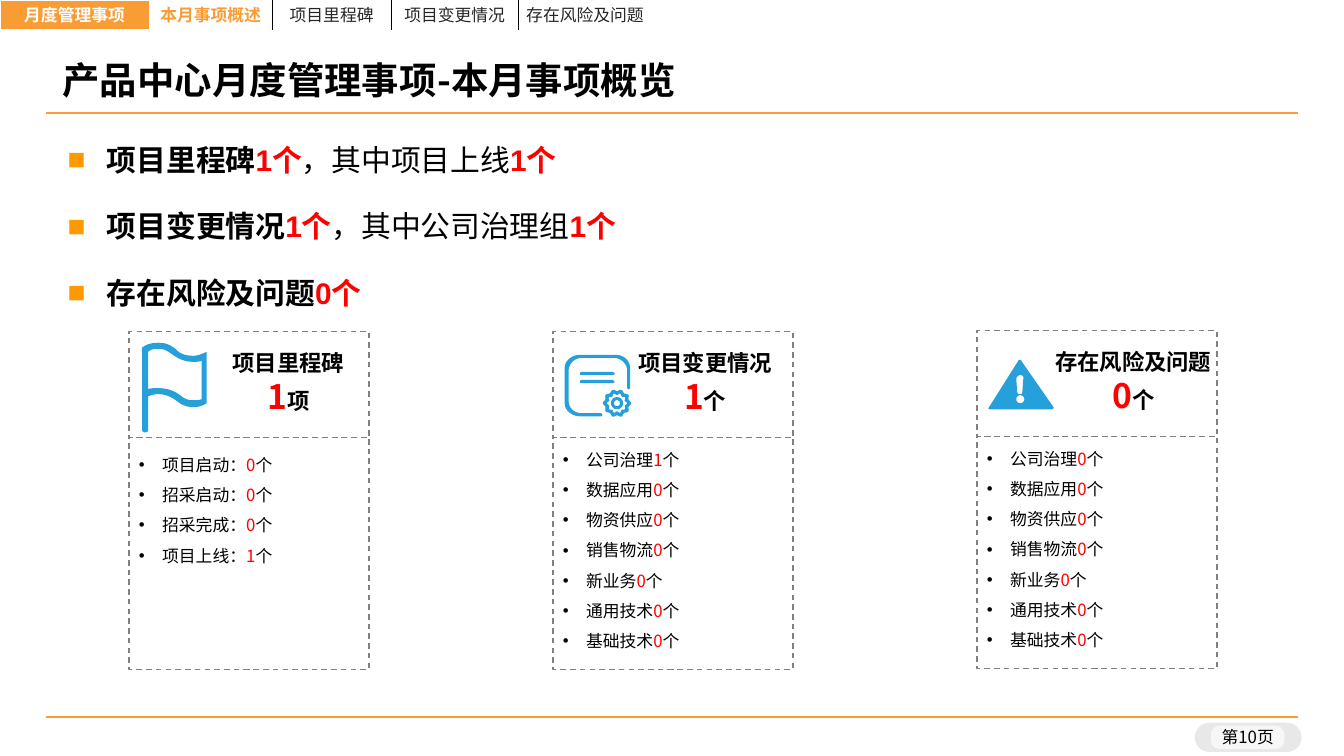
import math
import pptx
import pptx.util
import pptx.dml.color
import pptx.enum.dml
import pptx.enum.shapes
import pptx.enum.text
from lxml import etree
from pptx.oxml.ns import qn

Inches, Pt = pptx.util.Inches, pptx.util.Pt
RGB = pptx.dml.color.RGBColor
SHAPE = pptx.enum.shapes.MSO_SHAPE
ANCHOR = pptx.enum.text.MSO_ANCHOR
CENTER = pptx.enum.text.PP_ALIGN.CENTER

BLACK, WHITE, RED = RGB(0, 0, 0), RGB(255, 255, 255), RGB(255, 0, 0)
TAB_ORANGE, RULE_ORANGE = RGB(0xF8, 0x9C, 0x33), RGB(0xFF, 0x99, 0x33)
INK, GRAY, BLUE = RGB(0x26, 0x26, 0x26), RGB(0x80, 0x80, 0x80), RGB(0x26, 0xA0, 0xDA)
CJK = "Noto Sans CJK SC"

TITLE = "产品中心月度管理事项-本月事项概览"
TABS = ["月度管理事项", "本月事项概述", "项目里程碑", "项目变更情况", "存在风险及问题"]
TAB_WIDTHS = [1.48, 1.22, 1.18, 1.26, 2.27, 1.48, 1.48, 1.48, 1.48]
SUMMARY = [  # topic, count, detail, detail count
    ("项目里程碑", "1个", "，其中项目上线", "1个"),
    ("项目变更情况", "1个", "，其中公司治理组", "1个"),
    ("存在风险及问题", "0个"),
]
GROUPS = ["公司治理", "数据应用", "物资供应", "销售物流", "新业务", "通用技术", "基础技术"]

# Icon outlines: a start point, then lines (x, y) or curves (x1, y1, x2, y2, x, y)
FLAG = [
    [(1.92, 3.53), (1.84, 3.53, 1.78, 3.51, 1.74, 3.46), (1.69, 3.42, 1.64, 3.4, 1.57, 3.4),
     (1.5, 3.4, 1.44, 3.42, 1.41, 3.45), (1.41, 4.26), (1.41, 4.28, 1.42, 4.29, 1.44, 4.29),
     (1.46, 4.29, 1.47, 4.28, 1.47, 4.26), (1.47, 3.93), (1.5, 3.92, 1.53, 3.91, 1.57, 3.91),
     (1.66, 3.91, 1.72, 3.95, 1.77, 3.99), (1.81, 4.02, 1.86, 4.04, 1.92, 4.04),
     (1.97, 4.04, 2.02, 4.02, 2.05, 4), (2.05, 3.49), (2.01, 3.51, 1.96, 3.53, 1.92, 3.53)],
    [(2, 3.96), (1.98, 3.97, 1.95, 3.97, 1.92, 3.97), (1.87, 3.97, 1.83, 3.96, 1.8, 3.93),
     (1.75, 3.89, 1.68, 3.85, 1.57, 3.85), (1.54, 3.85, 1.5, 3.85, 1.47, 3.86), (1.47, 3.49),
     (1.49, 3.47, 1.52, 3.46, 1.57, 3.46), (1.63, 3.46, 1.66, 3.48, 1.7, 3.51),
     (1.77, 3.56, 1.83, 3.59, 1.92, 3.59), (1.94, 3.59, 1.97, 3.59, 2, 3.58)],
]
WARNING = [
    [(10.12, 3.57), (10.13, 3.57, 10.13, 3.57, 10.13, 3.58), (10.45, 4.04),
     (10.45, 4.06, 10.44, 4.06, 10.43, 4.06), (9.82, 4.06), (9.8, 4.06, 9.8, 4.05, 9.81, 4.04),
     (10.1, 3.58), (10.1, 3.57, 10.11, 3.57, 10.12, 3.57)],
    [(10.12, 3.72), (10.1, 3.72, 10.08, 3.74, 10.08, 3.76), (10.09, 3.89),
     (10.09, 3.9, 10.1, 3.91, 10.11, 3.91), (10.13, 3.91), (10.13, 3.91, 10.14, 3.9, 10.14, 3.89),
     (10.15, 3.76), (10.16, 3.74, 10.14, 3.72, 10.12, 3.72)],
]
CARD = [
    [(5.96, 4.1), (5.77, 4.1), (5.7, 4.1, 5.64, 4.05, 5.64, 3.98), (5.64, 3.67),
     (5.64, 3.61, 5.7, 3.55, 5.77, 3.55), (6.09, 3.55), (6.16, 3.55, 6.22, 3.61, 6.22, 3.67),
     (6.22, 3.84), (6.22, 3.87, 6.25, 3.87, 6.25, 3.84), (6.25, 3.65),
     (6.25, 3.58, 6.19, 3.52, 6.11, 3.52), (5.75, 3.52), (5.67, 3.52, 5.6, 3.58, 5.6, 3.65),
     (5.6, 4), (5.6, 4.07, 5.67, 4.13, 5.75, 4.13), (5.96, 4.13),
     (5.98, 4.13, 5.98, 4.1, 5.96, 4.1)],
]


def ring(cx, cy, radius, wave=0):
    """Circle outline; wave raises ten gear teeth on it."""
    angles = [math.radians(a) for a in range(0, 360, 6)]
    return [(cx + (radius + wave * math.cos(10 * a)) * math.cos(a),
             cy + (radius + wave * math.cos(10 * a)) * math.sin(a)) for a in angles]


WARNING.append(ring(10.12, 3.96, 0.04))
CARD += [ring(6.12, 4, r, wave) for r, wave in ((0.13, 0.01), (0.09, 0.01), (0.06, 0), (0.03, 0))]
CARD += [[(5.76, y), (6.08, y), (6.1, y + 0.02), (6.08, y + 0.03), (5.76, y + 0.03), (5.75, y + 0.02)]
         for y in (3.69, 3.77)]

PANELS = [  # heading, count, unit, heading left and width, panel top, list top, rows, icon
    ("项目里程碑", "1", "项", 2.11, 1.5, 3.29, 4.36,
     [("项目启动：", "0"), ("招采启动：", "0"), ("招采完成：", "0"), ("项目上线：", "1")], FLAG),
    ("项目变更情况", "1", "个", 6.21, 1.57, 3.29, 4.31, list(zip(GROUPS, "1000000")), CARD),
    ("存在风险及问题", "0", "个", 10.35, 1.78, 3.28, 4.3, list(zip(GROUPS, "0000000")), WARNING),
]
PANEL_LEFT, PANEL_STEP, PANEL_WIDTH, HEAD_HEIGHT, LIST_HEIGHT = 1.28, 4.205, 2.38, 1.05, 2.3


def add_run(p, text, size, color=BLACK, bold=False, font=CJK):
    r = p.add_run()
    r.text = text
    r.font.size, r.font.bold, r.font.name = Pt(size), bold, font
    r.font.color.rgb = color
    etree.SubElement(r._r.get_or_add_rPr(), qn("a:ea"), typeface=CJK)


def add_bullet(p, char, indent, color):
    pPr = p._p.get_or_add_pPr()
    pPr.set("marL", str(Inches(indent)))
    pPr.set("indent", str(-Inches(indent)))
    etree.SubElement(etree.SubElement(pPr, qn("a:buClr")), qn("a:srgbClr"), val=str(color))
    etree.SubElement(pPr, qn("a:buFont"), typeface="Arial")
    etree.SubElement(pPr, qn("a:buChar"), char=char)


def add_text(x, y, w, h, inset=(0.1, 0.05), wrap=True, anchor=ANCHOR.TOP):
    tf = s.shapes.add_textbox(Inches(x), Inches(y), Inches(w), Inches(h)).text_frame
    tf.word_wrap, tf.vertical_anchor = wrap, anchor
    tf.margin_left = tf.margin_right = Inches(inset[0])
    tf.margin_top = tf.margin_bottom = Inches(inset[1])
    return tf


def paragraphs(tf, count):
    return [tf.paragraphs[0]] + [tf.add_paragraph() for _ in range(count - 1)]


def add_pill(x, y, w, h, radius, color, alpha):
    sp = s.shapes.add_shape(SHAPE.ROUNDED_RECTANGLE, Inches(x), Inches(y), Inches(w), Inches(h))
    sp.shadow.inherit = False
    sp.adjustments[0] = radius
    sp.fill.solid()
    sp.fill.fore_color.rgb = color
    sp.line.fill.background()
    clr = sp._element.spPr.find(qn("a:solidFill")).find(qn("a:srgbClr"))
    etree.SubElement(clr, qn("a:alpha"), val=str(alpha * 1000))


def add_icon(contours):
    builder = None
    for start, *steps in contours:
        points, (x, y) = [], start
        for step in steps:
            if len(step) == 2:
                points.append(step)
            else:
                x1, y1, x2, y2, x3, y3 = step
                for t in (i / 6 for i in range(1, 7)):
                    a, b, c, d = (1 - t) ** 3, 3 * t * (1 - t) ** 2, 3 * t * t * (1 - t), t ** 3
                    points.append((a * x + b * x1 + c * x2 + d * x3, a * y + b * y1 + c * y2 + d * y3))
            x, y = step[-2:]
        origin = Inches(start[0]), Inches(start[1])
        if builder is None:
            builder = s.shapes.build_freeform(*origin)
        else:
            builder.move_to(*origin)
        builder.add_line_segments([(Inches(px), Inches(py)) for px, py in points], close=True)
    sp = builder.convert_to_shape()
    sp.shadow.inherit = False
    sp.fill.solid()
    sp.fill.fore_color.rgb = BLUE
    sp.line.fill.background()


prs = pptx.Presentation()
prs.slide_width, prs.slide_height = Inches(13.33), Inches(7.5)
s = prs.slides.add_slide(prs.slide_layouts[6])

for y in (1.12, 7.11):
    rule = s.shapes.add_connector(pptx.enum.shapes.MSO_CONNECTOR.STRAIGHT,
                                  Inches(0.46), Inches(y), Inches(12.87), Inches(y))
    rule.line.color.rgb, rule.line.width = RULE_ORANGE, Pt(1.5)
    etree.SubElement(rule._element.spPr, qn("a:effectLst"))

add_pill(11.85, 7.17, 1.06, 0.29, 0.5, BLACK, 9)
add_pill(12.01, 7.2, 0.73, 0.23, 0.36, WHITE, 66)
p = add_text(11.84, 7.17, 1.07, 0.31, (0, 0.04), False, ANCHOR.MIDDLE).paragraphs[0]
p.alignment, p.line_spacing = CENTER, 0.85
add_run(p, "第10页", 12)

p = add_text(0.49, 0.54, 12.37, 0.56, (0.13, 0.07), anchor=ANCHOR.MIDDLE).paragraphs[0]
p.line_spacing = 0.9
add_run(p, TITLE, 26.7, bold=True)

tf = add_text(0.54, 1.23, 12.37, 2.23, (0.13, 0.07))
for p, parts in zip(paragraphs(tf, len(SUMMARY)), SUMMARY):
    p.line_spacing, p.space_before, p.space_after = Pt(33.3), Pt(10), Pt(4)
    add_bullet(p, "■", 0.39, RGB(0xFF, 0x99, 0))
    for i, part in enumerate(parts):
        add_run(p, part, 21.3, RED if i % 2 else BLACK, i != 2, "Arial")

for i, (heading, count, unit, x, w, top, list_top, rows, icon) in enumerate(PANELS):
    left = PANEL_LEFT + i * PANEL_STEP
    for y, h in ((top, HEAD_HEIGHT), (top + HEAD_HEIGHT, LIST_HEIGHT)):
        sp = s.shapes.add_shape(SHAPE.RECTANGLE, Inches(left), Inches(y), Inches(PANEL_WIDTH), Inches(h))
        sp.shadow.inherit = False
        sp.fill.background()
        sp.line.color.rgb, sp.line.width = GRAY, Pt(1)
        sp.line.dash_style = pptx.enum.dml.MSO_LINE.DASH
    title, total = paragraphs(add_text(x, top + 0.12, w, 0.77), 2)
    title.alignment = total.alignment = CENTER
    add_run(title, heading, 16, bold=True)
    add_run(total, count, 24, RED, True)
    add_run(total, unit, 16, bold=True)
    tf = add_text(left, list_top, PANEL_WIDTH, 0.61 + 0.27 * len(rows))
    for p, (label, value) in zip(paragraphs(tf, len(rows)), rows):
        p.line_spacing = 1.5
        add_bullet(p, "•", 0.23, BLACK)
        for text, color in ((label, BLACK), (value, RED), ("个", BLACK)):
            add_run(p, text, 12, color)
    add_icon(icon)

table = s.shapes.add_table(1, len(TAB_WIDTHS), 0, 0, Inches(13.33), Inches(0.29)).table
table.first_row = table.horz_banding = False
table.rows[0].height = Inches(0.29)
for i, width in enumerate(TAB_WIDTHS):
    table.columns[i].width = Inches(width)
    cell = table.cell(0, i)
    cell.vertical_anchor = ANCHOR.MIDDLE
    cell.margin_left = Inches(0.08 if i == 4 else 0)
    cell.margin_right = 0
    cell.margin_top = cell.margin_bottom = Inches(0.02)
    p = cell.text_frame.paragraphs[0]
    if i < len(TABS):
        p.alignment = None if i == 4 else CENTER
        add_run(p, TABS[i], 12, (WHITE, TAB_ORANGE, INK, INK, INK)[i], i < 2)
    else:
        etree.SubElement(p._p, qn("a:endParaRPr"), sz="1200")
    if i == 0:
        cell.fill.solid()
        cell.fill.fore_color.rgb = TAB_ORANGE
    else:
        cell.fill.background()
    sides = [side for side, shown in (("a:lnL", 2 <= i <= 4), ("a:lnR", 1 <= i <= 3)) if shown]
    for n, side in enumerate(sides):
        ln = etree.Element(qn(side), w=str(Pt(1)))
        etree.SubElement(etree.SubElement(ln, qn("a:solidFill")), qn("a:srgbClr"), val=str(BLACK))
        cell._tc.get_or_add_tcPr().insert(n, ln)

prs.save("out.pptx")
